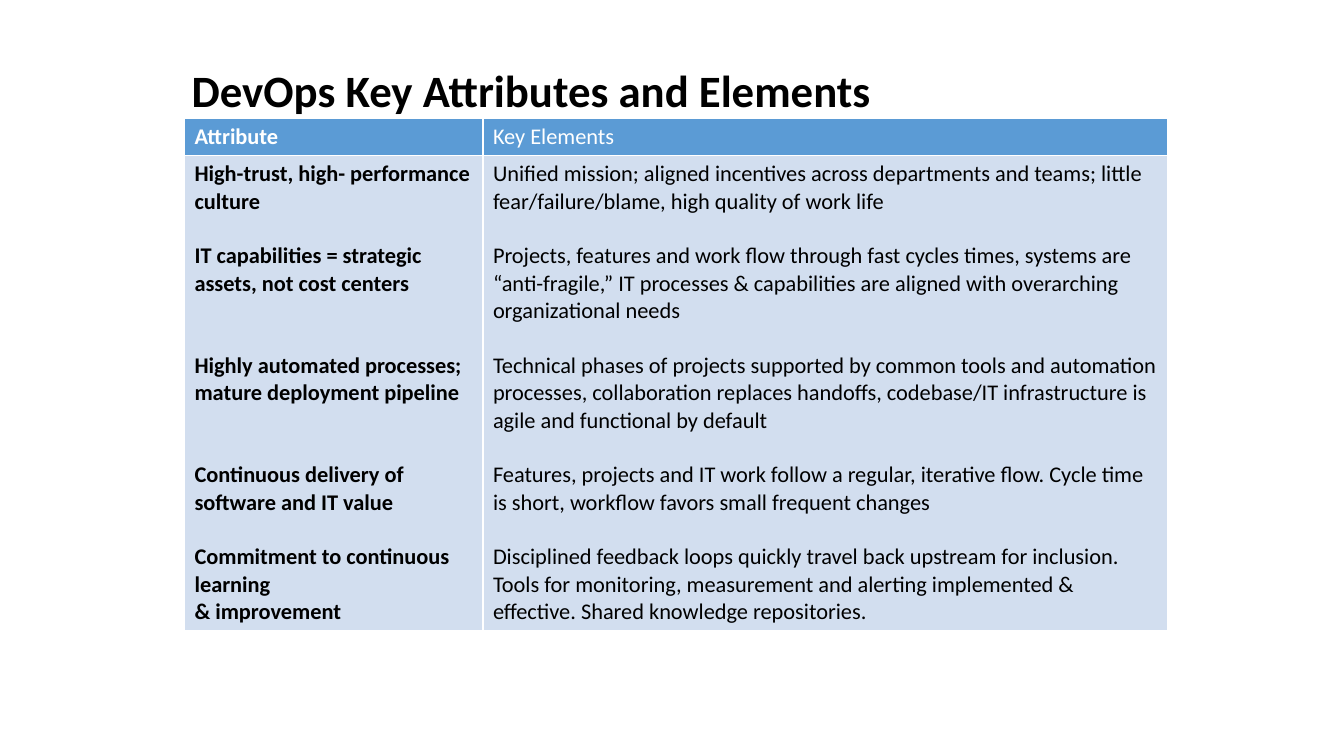
"""Build the slide on the key attributes and elements of DevOps."""
from dataclasses import dataclass

from lxml.etree import SubElement
from pptx import Presentation
from pptx.dml.color import RGBColor
from pptx.enum.text import MSO_ANCHOR
from pptx.oxml.ns import qn
from pptx.slide import Slide
from pptx.table import _Cell
from pptx.text.text import _Paragraph
from pptx.util import Emu, Pt

EMU_PER_PX = 9144
FONT = "Calibri"
BODY_SIZE = 16
LINE_HEIGHT = 19.5
COLORS = {"header": "5B9BD5", "body": "D2DEEF", "white": "FFFFFF", "black": "000000"}
COLUMN_WIDTHS = (296, 679)
ROW_HEIGHTS = (29, 459)


@dataclass(frozen=True)
class Entry:
    """A paragraph and the number of lines left free above it."""
    text: str
    lines_above: int = 0


@dataclass(frozen=True)
class CellContent:
    """The paragraphs and look of one table cell."""
    entries: tuple[Entry, ...]
    fill: str
    color: str
    bold: bool


ATTRIBUTES = (
    Entry("High-trust, high- performance culture"),
    Entry("IT capabilities = strategic assets, not cost centers", 1),
    Entry("Highly automated processes; mature deployment pipeline", 2),
    Entry("Continuous delivery of software and IT value", 2),
    Entry("Commitment to continuous learning \n& improvement", 1),
)
KEY_ELEMENTS = (
    Entry("Unified mission; aligned incentives across departments and teams; "
          "little fear/failure/blame, high quality of work life"),
    Entry("Projects, features and work flow through fast cycles times, systems are "
          "“anti-fragile,” IT processes & capabilities are aligned with "
          "overarching organizational needs", 1),
    Entry("Technical phases of projects supported by common tools and automation "
          "processes, collaboration replaces handoffs, codebase/IT infrastructure "
          "is agile and functional by default", 1),
    Entry("Features, projects and IT work follow a regular, iterative flow. "
          "Cycle time is short, workflow favors small frequent changes", 1),
    Entry("Disciplined feedback loops quickly travel back upstream for inclusion. "
          "Tools for monitoring, measurement and alerting implemented & effective. "
          "Shared knowledge repositories.", 1),
)
TABLE_ROWS = (
    (CellContent((Entry("Attribute"),), "header", "white", True),
     CellContent((Entry("Key Elements"),), "header", "white", False)),
    (CellContent(ATTRIBUTES, "body", "black", True),
     CellContent(KEY_ELEMENTS, "body", "black", False)),
)


def px(length: int) -> Emu:
    """Turn pixels into EMU."""
    return Emu(length * EMU_PER_PX)


def add_text(paragraph: _Paragraph, text: str, size: int, color: str, bold: bool) -> None:
    """Add one styled run for each line of the text."""
    for index, line in enumerate(text.split("\n")):
        if index:
            paragraph.add_line_break()
        run = paragraph.add_run()
        run.text = line
        run.font.name = FONT
        run.font.size = Pt(size)
        run.font.bold = bold
        run.font.color.rgb = RGBColor.from_string(COLORS[color])


def add_borders(cell: _Cell) -> None:
    """Draw a thin white line on every side of the cell."""
    properties = cell._tc.get_or_add_tcPr()
    for side in ("L", "R", "T", "B"):
        line = SubElement(properties, qn(f"a:ln{side}"), w=str(Pt(1)))
        solid_fill = SubElement(line, qn("a:solidFill"))
        SubElement(solid_fill, qn("a:srgbClr"), val=COLORS["white"])


def fill_cell(cell: _Cell, content: CellContent) -> None:
    """Give the cell its borders, fill and paragraphs."""
    add_borders(cell)
    cell.fill.solid()
    cell.fill.fore_color.rgb = RGBColor.from_string(COLORS[content.fill])
    text_frame = cell.text_frame
    for index, entry in enumerate(content.entries):
        paragraph = text_frame.add_paragraph() if index else text_frame.paragraphs[0]
        paragraph.space_before = Pt(entry.lines_above * LINE_HEIGHT)
        add_text(paragraph, entry.text, BODY_SIZE, content.color, content.bold)


def add_attribute_table(slide: Slide) -> None:
    """Add the table of attributes and key elements."""
    table = slide.shapes.add_table(
        len(ROW_HEIGHTS), len(COLUMN_WIDTHS), px(183), px(117),
        px(sum(COLUMN_WIDTHS)), px(sum(ROW_HEIGHTS))).table
    table.horz_banding = False
    for column, width in zip(table.columns, COLUMN_WIDTHS):
        column.width = px(width)
    for row, height, contents in zip(table.rows, ROW_HEIGHTS, TABLE_ROWS):
        row.height = px(height)
        for cell, content in zip(row.cells, contents):
            fill_cell(cell, content)


def add_title(slide: Slide) -> None:
    """Add the slide title."""
    shape = slide.shapes.add_textbox(px(183), px(25), px(842), px(101))
    text_frame = shape.text_frame
    text_frame.word_wrap = True
    text_frame.vertical_anchor = MSO_ANCHOR.MIDDLE
    text_frame.margin_left = text_frame.margin_right = px(7)
    text_frame.margin_top = text_frame.margin_bottom = px(4)
    paragraph = text_frame.paragraphs[0]
    paragraph.line_spacing = 1.5
    add_text(paragraph, "DevOps Key Attributes and Elements", 32, "black", True)


def main() -> None:
    """Build and save the presentation."""
    presentation = Presentation()
    presentation.slide_width = px(1333)
    presentation.slide_height = px(750)
    slide = presentation.slides.add_slide(presentation.slide_layouts[6])
    add_attribute_table(slide)
    add_title(slide)
    presentation.save("out.pptx")


if __name__ == "__main__":
    main()
